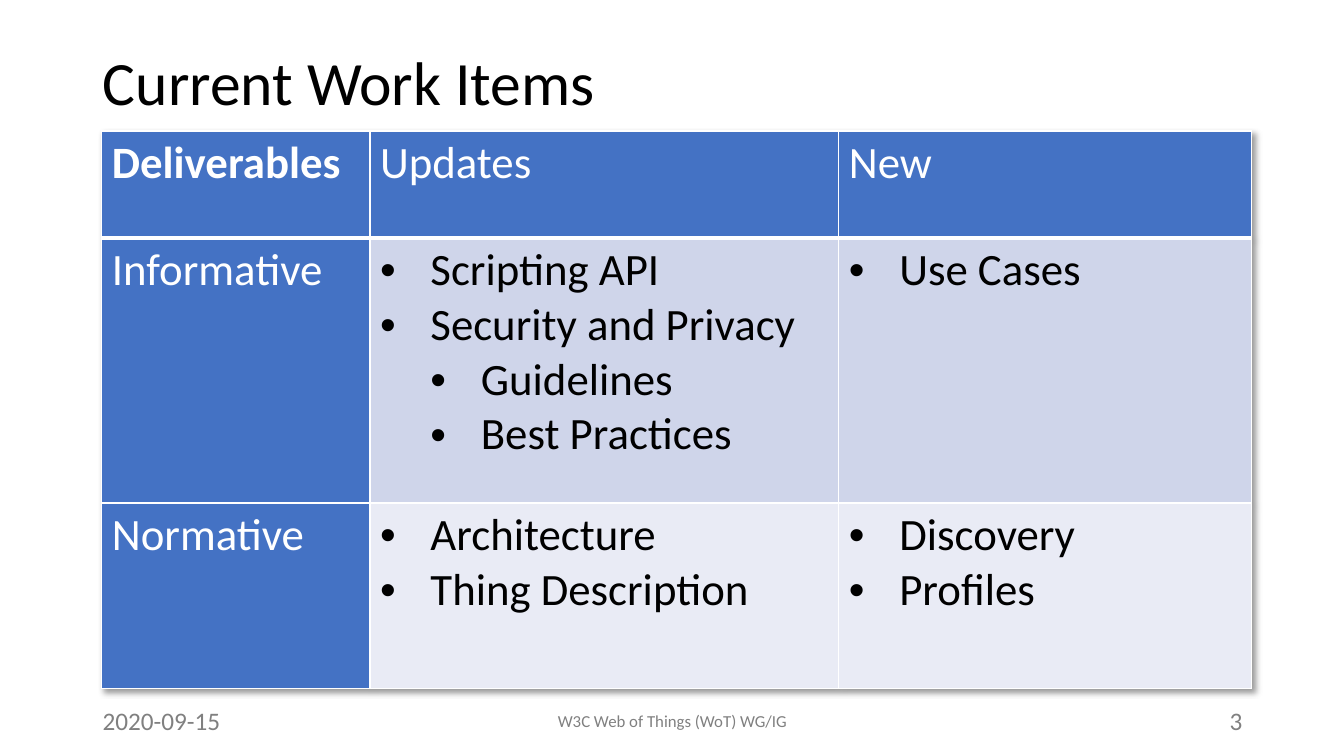
from lxml import etree
from pptx import Presentation
from pptx.dml.color import RGBColor
from pptx.enum import text
from pptx.oxml import ns
from pptx.util import Inches, Pt

FONT = "Calibri"
BLACK = RGBColor(0, 0, 0)
WHITE = RGBColor(0xFF, 0xFF, 0xFF)
GRAY = RGBColor(0x80, 0x80, 0x80)
BLUE = RGBColor(0x44, 0x72, 0xC4)
BAND_DARK = RGBColor(0xCF, 0xD5, 0xEA)
BAND_LIGHT = RGBColor(0xE9, 0xEB, 0xF5)

COLUMN_WIDTHS = [2.66, 4.65, 4.09]
ROW_HEIGHTS = [1.06, 2.63, 1.84]
HEADINGS = ["Deliverables", "Updates", "New"]
# Each row: heading, band colour, then bullet lists of (level, wording)
WORK_ITEMS = [
    ("Informative", BAND_DARK,
     [(0, "Scripting API"), (0, "Security and Privacy"),
      (1, "Guidelines"), (1, "Best Practices")],
     [(0, "Use Cases")]),
    ("Normative", BAND_LIGHT,
     [(0, "Architecture"), (0, "Thing Description")],
     [(0, "Discovery"), (0, "Profiles")]),
]


def add_span(para, wording, size, color, bold=False):
    span = para.add_run()
    span.text = wording
    span.font.name = FONT
    span.font.size = Pt(size)
    span.font.bold = bold
    span.font.color.rgb = color


def add_title(page, wording):
    title = page.shapes.title
    title.left, title.top = Inches(0.92), Inches(0.4)
    title.width, title.height = Inches(11.5), Inches(0.9)
    frame = title.text_frame
    frame.vertical_anchor = text.MSO_ANCHOR.MIDDLE
    para = frame.paragraphs[0]
    para.alignment = text.PP_ALIGN.LEFT
    para.line_spacing = 0.9
    add_span(para, wording, 44, BLACK)


def add_footer(page, left, width, wording, size, alignment):
    box = page.shapes.add_textbox(Inches(left), Inches(6.95), Inches(width), Inches(0.4))
    frame = box.text_frame
    frame.word_wrap = True
    frame.vertical_anchor = text.MSO_ANCHOR.MIDDLE
    para = frame.paragraphs[0]
    para.alignment = alignment
    add_span(para, wording, size, GRAY)


def set_bullet(para, level):
    para.level = level
    properties = para._p.get_or_add_pPr()
    properties.set("marL", str(Inches(0.5 * (level + 1))))
    properties.set("indent", str(Inches(-0.5)))
    etree.SubElement(properties, ns.qn("a:buFont"), typeface="Arial")
    etree.SubElement(properties, ns.qn("a:buChar"), char="•")


def style_cell(cell, fill, bottom=1, top=1):
    cell.fill.solid()
    cell.fill.fore_color.rgb = fill
    properties = cell._tc.get_or_add_tcPr()
    widths = {"lnL": 1, "lnR": 1, "lnT": top, "lnB": bottom}
    for index, (side, width) in enumerate(widths.items()):
        line = etree.Element(ns.qn(f"a:{side}"), w=str(Pt(width)))
        solid = etree.SubElement(line, ns.qn("a:solidFill"))
        etree.SubElement(solid, ns.qn("a:srgbClr"), val=str(WHITE))
        properties.insert(index, line)


def add_shadow(table):
    effects = etree.Element(ns.qn("a:effectLst"))
    shadow = etree.SubElement(effects, ns.qn("a:outerShdw"), blurRad=str(Pt(4)),
                              dist=str(Pt(3)), dir="2700000", algn="tl", rotWithShape="0")
    color = etree.SubElement(shadow, ns.qn("a:srgbClr"), val=str(BLACK))
    etree.SubElement(color, ns.qn("a:alpha"), val="40000")
    table._tbl.tblPr.insert(0, effects)


def fill_heading(cell, wording, bold=False):
    add_span(cell.text_frame.paragraphs[0], wording, 32, WHITE, bold)


def fill_bullets(cell, items):
    frame = cell.text_frame
    for index, (level, wording) in enumerate(items):
        para = frame.add_paragraph() if index else frame.paragraphs[0]
        set_bullet(para, level)
        add_span(para, wording, 32, BLACK)


def add_work_items(page):
    table = page.shapes.add_table(
        len(ROW_HEIGHTS), len(COLUMN_WIDTHS), Inches(1.01), Inches(1.3),
        Inches(sum(COLUMN_WIDTHS)), Inches(sum(ROW_HEIGHTS))).table
    for column, width in zip(table.columns, COLUMN_WIDTHS):
        column.width = Inches(width)
    for row, height in zip(table.rows, ROW_HEIGHTS):
        row.height = Inches(height)
    add_shadow(table)

    # Header row
    for column, wording in enumerate(HEADINGS):
        cell = table.cell(0, column)
        style_cell(cell, BLUE, bottom=3)
        fill_heading(cell, wording, bold=column == 0)

    # Body rows
    for row, (heading, band, *lists) in enumerate(WORK_ITEMS, start=1):
        top = 3 if row == 1 else 1
        style_cell(table.cell(row, 0), BLUE, top=top)
        fill_heading(table.cell(row, 0), heading)
        for column, items in enumerate(lists, start=1):
            style_cell(table.cell(row, column), band, top=top)
            fill_bullets(table.cell(row, column), items)


def main():
    deck = Presentation()
    deck.slide_width, deck.slide_height = Inches(13.33), Inches(7.5)
    page = deck.slides.add_slide(deck.slide_layouts[5])
    add_title(page, "Current Work Items")
    add_work_items(page)

    # Footer
    add_footer(page, 0.92, 3, "2020-09-15", 18, text.PP_ALIGN.LEFT)
    add_footer(page, 4.42, 4.5, "W3C Web of Things (WoT) WG/IG", 12, text.PP_ALIGN.CENTER)
    add_footer(page, 9.42, 3, "3", 18, text.PP_ALIGN.RIGHT)
    deck.save("out.pptx")


if __name__ == "__main__":
    main()
